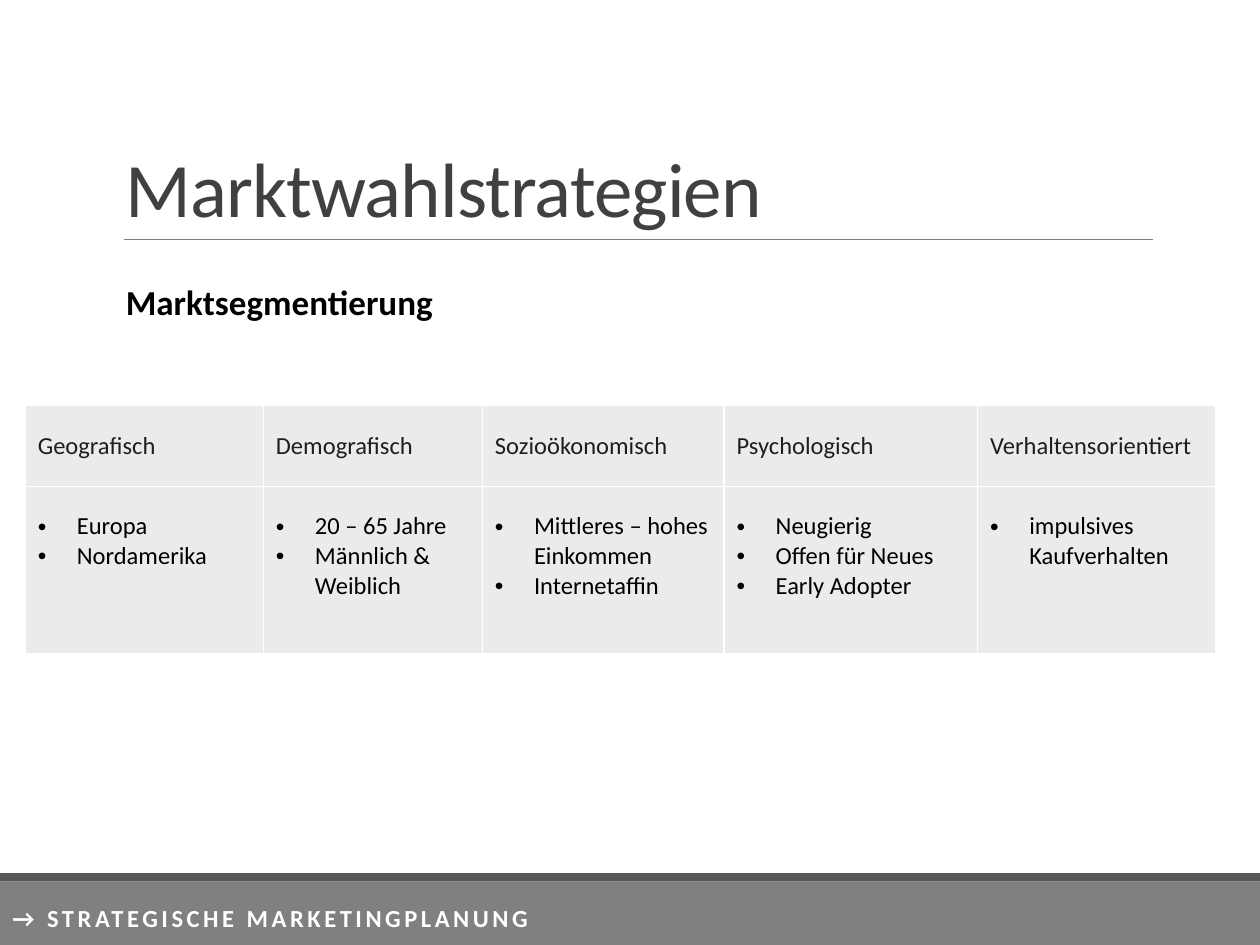
from lxml import etree
from pptx import Presentation
from pptx.dml.color import RGBColor
from pptx.enum.shapes import MSO_CONNECTOR, MSO_SHAPE
from pptx.enum.text import MSO_ANCHOR
from pptx.oxml.ns import qn
from pptx.util import Inches, Pt

RECTANGLE = MSO_SHAPE.RECTANGLE
STRAIGHT = MSO_CONNECTOR.STRAIGHT
TOP, BOTTOM = MSO_ANCHOR.TOP, MSO_ANCHOR.BOTTOM

FONT = "Calibri"
COLORS = {
    "title": "404040", "body": "000000", "header": "1C1E20", "white": "FFFFFF",
    "cell": "EBEBEB", "bar": "808080", "strip": "595959",
}
WIDTH, HEIGHT = Inches(10), Inches(7.5)
INDENT = Inches(0.31)

SEGMENTS = {
    "Geografisch": ["Europa", "Nordamerika"],
    "Demografisch": ["20 – 65 Jahre", "Männlich & Weiblich"],
    "Sozioökonomisch": ["Mittleres – hohes Einkommen", "Internetaffin"],
    "Psychologisch": ["Neugierig", "Offen für Neues", "Early Adopter"],
    "Verhaltensorientiert": ["impulsives Kaufverhalten"],
}
COLUMN_SHARES = [0.2, 0.184, 0.203, 0.213, 0.2]
ROW_SHARES = [0.325, 0.675]


def rgb(name):
    return RGBColor.from_string(COLORS[name])


def region(left, top, width, height):
    """Turn inches on the 10 x 7.5 slide into a box of shares of its size."""
    return (round(WIDTH * left / 10), round(HEIGHT * top / 7.5),
            round(WIDTH * width / 10), round(HEIGHT * height / 7.5))


def add_run(paragraph, text, size, color, bold=False, spacing=0):
    run = paragraph.add_run()
    run.text = text
    run.font.name = FONT
    run.font.size = Pt(size)
    run.font.bold = bold
    run.font.color.rgb = rgb(color)
    if spacing:
        run.font._element.set("spc", str(round(spacing * 100)))


def add_text(slide, box, text, size, color, anchor=TOP, line_spacing=1.0, **style):
    frame = slide.shapes.add_textbox(*box).text_frame
    frame.word_wrap = True
    frame.vertical_anchor = anchor
    paragraph = frame.paragraphs[0]
    paragraph.line_spacing = line_spacing
    add_run(paragraph, text, size, color, **style)


def add_band(slide, box, color):
    band = slide.shapes.add_shape(RECTANGLE, *box)
    band.shadow.inherit = False
    band.fill.solid()
    band.fill.fore_color.rgb = rgb(color)
    band.line.fill.background()


def add_heading(slide, box):
    left, top, width, height = box
    # Rule under the title
    base = top + height
    rule = slide.shapes.add_connector(
        STRAIGHT, left + round(width * 0.01), base, left + width, base)
    rule.line.color.rgb = rgb("bar")
    rule.line.width = Pt(0.5)
    etree.SubElement(rule._element.spPr, qn("a:effectLst"))
    # Title
    add_text(slide, box, "Marktwahlstrategien", 44, "title",
             anchor=BOTTOM, line_spacing=0.85, spacing=-0.5)


def add_footer(slide, box):
    left, top, width, height = box
    strip = round(height * 0.12)
    add_band(slide, (left, top + strip, width, height - strip), "bar")
    add_band(slide, (left, top, width, strip), "strip")
    caption_top = top + round(height * 0.37)
    add_text(slide, (left, caption_top, width, top + height - caption_top),
             "→ STRATEGISCHE MARKETINGPLANUNG", 14, "white",
             line_spacing=0.9, bold=True, spacing=2)


def add_bullet(paragraph):
    properties = paragraph._p.get_or_add_pPr()
    properties.set("marL", str(INDENT))
    properties.set("indent", str(-INDENT))
    etree.SubElement(properties, qn("a:buFont")).set("typeface", "Arial")
    etree.SubElement(properties, qn("a:buChar")).set("char", "•")


def fill_cell(cell, lines, color, bulleted):
    cell.margin_left = cell.margin_right = Inches(0.1)
    cell.margin_top = cell.margin_bottom = Inches(0.2)
    # White borders precede the fill in the cell properties
    properties = cell._tc.get_or_add_tcPr()
    for side in ("lnL", "lnR", "lnT", "lnB"):
        border = etree.SubElement(properties, qn(f"a:{side}"), w=str(Pt(1)))
        fill = etree.SubElement(border, qn("a:solidFill"))
        etree.SubElement(fill, qn("a:srgbClr"), val=COLORS["white"])
    cell.fill.solid()
    cell.fill.fore_color.rgb = rgb("cell")
    frame = cell.text_frame
    for index, line in enumerate(lines):
        paragraph = frame.add_paragraph() if index else frame.paragraphs[0]
        if bulleted:
            add_bullet(paragraph)
        add_run(paragraph, line, 14, color)


def add_segments(slide, box):
    width, height = box[2:]
    table = slide.shapes.add_table(len(ROW_SHARES), len(SEGMENTS), *box).table
    table.first_row = table.horz_banding = False
    for row, share in zip(table.rows, ROW_SHARES):
        row.height = round(height * share)
    for column, share in zip(table.columns, COLUMN_SHARES):
        column.width = round(width * share)
    for index, (segment, traits) in enumerate(SEGMENTS.items()):
        fill_cell(table.cell(0, index), [segment], "header", False)
        fill_cell(table.cell(1, index), traits, "body", True)


def main():
    deck = Presentation()
    deck.slide_width, deck.slide_height = WIDTH, HEIGHT
    slide = deck.slides.add_slide(deck.slide_layouts[6])
    add_footer(slide, region(0, 6.93, 10, 0.57))
    add_heading(slide, region(0.9, 0.31, 8.25, 1.59))
    # Subtitle
    add_text(slide, region(0.9, 2.18, 8.25, 1.04), "Marktsegmentierung",
             20, "body", bold=True)
    add_segments(slide, region(0.2, 3.22, 9.45, 1.97))
    deck.save("out.pptx")


if __name__ == "__main__":
    main()
